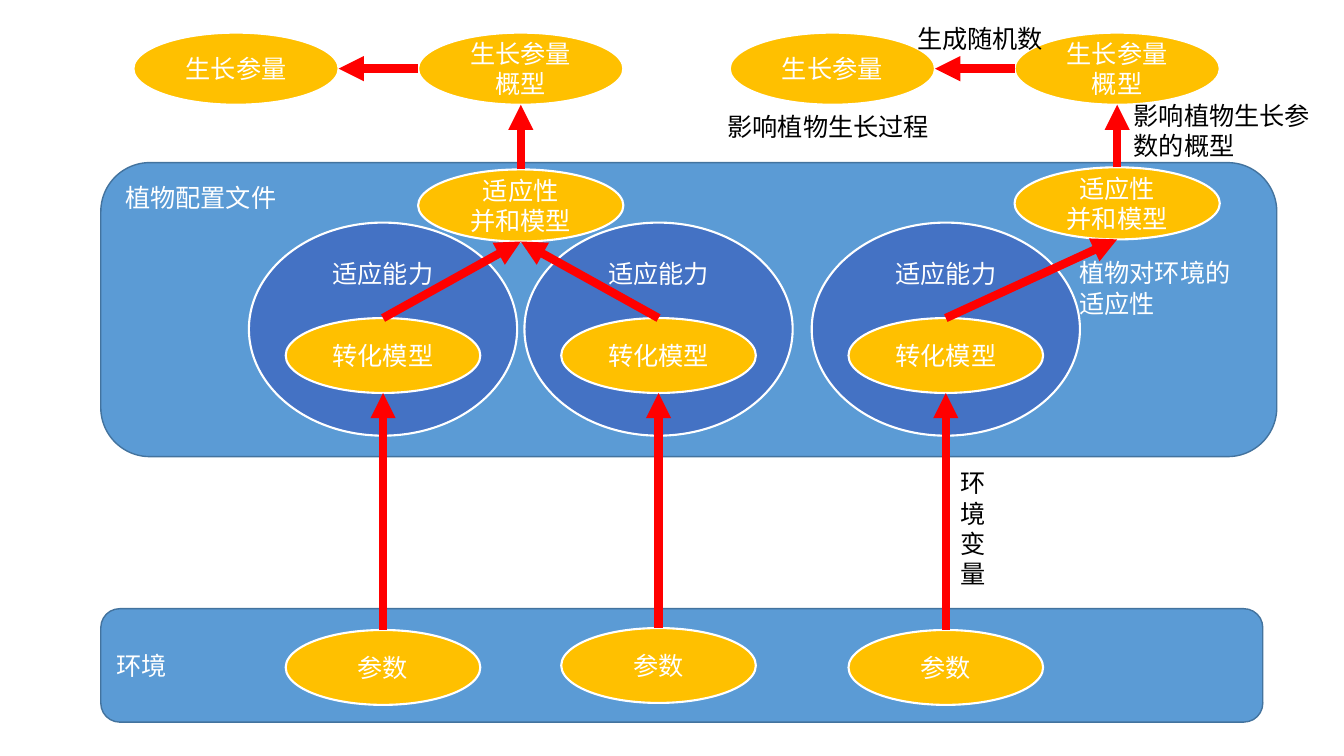
from pptx import Presentation
from pptx.dml.color import RGBColor
from pptx.enum.shapes import MSO_CONNECTOR as Connector, MSO_SHAPE as Shape
from pptx.enum.text import MSO_ANCHOR as Anchor, PP_ALIGN as Align
from pptx.oxml.ns import qn
from pptx.util import Pt
from lxml.etree import SubElement

FONT = "Noto Sans CJK SC"
WHITE = RGBColor(0xFF, 0xFF, 0xFF)
BLACK = RGBColor(0, 0, 0)
GOLD = RGBColor(0xFF, 0xC0, 0x00)
RED = RGBColor(0xFF, 0, 0)
BLUE = RGBColor(0x44, 0x72, 0xC4)
LIGHT_BLUE = RGBColor(0x5B, 0x9B, 0xD5)
EDGE_BLUE = RGBColor(0x43, 0x73, 0x9E)

presentation = Presentation()
presentation.slide_width, presentation.slide_height = Pt(960), Pt(540)
slide = presentation.slides.add_slide(presentation.slide_layouts[6])


def write(shape, text, color, align=Align.LEFT, anchor=Anchor.TOP):
    frame = shape.text_frame
    frame.text = text
    frame.word_wrap = True
    frame.vertical_anchor = anchor
    font_format = {"name": FONT, "size": Pt(18)}
    for paragraph in frame.paragraphs:
        paragraph.alignment = align
        for run in paragraph.runs:
            for name, value in font_format.items():
                setattr(run.font, name, value)
            run.font.color.rgb = color
            SubElement(run.font._element, qn("a:ea"), typeface=FONT)


def add_block(kind, box, text, fill, edge=WHITE, edge_width=1.5,
              align=Align.CENTER, anchor=Anchor.MIDDLE):
    shape = slide.shapes.add_shape(kind, *map(Pt, box))
    shape.shadow.inherit = False
    shape.fill.solid()
    shape.fill.fore_color.rgb = fill
    shape.line.color.rgb = edge
    shape.line.width = Pt(edge_width)
    write(shape, text, WHITE, align, anchor)


# Background panels
for box, text, anchor in [
    ((72, 116.2, 840, 210), "植物配置文件", Anchor.TOP),
    ((72, 434.8, 830, 81), "环境", Anchor.MIDDLE),
]:
    add_block(Shape.ROUNDED_RECTANGLE, box, text, LIGHT_BLUE,
              EDGE_BLUE, 1, Align.LEFT, anchor)

# Growth ellipses above the merged adaptability models
GROWTH_W, GROWTH_H, GROWTH_TOP = 146.6, 51.5, 23.3
GROWTH_STEP = 203.4
LEFT_MERGE, RIGHT_MERGE = (372, 121), (798, 119.5)
arrows = []
for center, merge_top in (LEFT_MERGE, RIGHT_MERGE):
    for middle, top, text in [
        (center, merge_top, "适应性\n并和模型"),
        (center, GROWTH_TOP, "生长参量概型"),
        (center - GROWTH_STEP, GROWTH_TOP, "生长参量"),
    ]:
        box = (middle - GROWTH_W / 2, top, GROWTH_W, GROWTH_H)
        add_block(Shape.OVAL, box, text, GOLD)
    row = GROWTH_TOP + GROWTH_H / 2
    arrows += [
        (center, merge_top, center, GROWTH_TOP + GROWTH_H),
        (center - GROWTH_W / 2, row, center - GROWTH_STEP + GROWTH_W / 2, row),
    ]

# Environment parameters, conversion models and adaptability circles
MODEL_W, MODEL_H, MODEL_TOP = 139, 53.5, 227.2
for center, parameter_top, (merge_x, merge_top) in [
    (273.6, 450, LEFT_MERGE),
    (470.4, 448.6, LEFT_MERGE),
    (675.6, 450, RIGHT_MERGE),
]:
    add_block(Shape.OVAL, (center - 95.8, 159, 191.6, 152.2), "适应能力", BLUE,
              anchor=Anchor.TOP)
    for top, text in [(MODEL_TOP, "转化模型"), (parameter_top, "参数")]:
        box = (center - MODEL_W / 2, top, MODEL_W, MODEL_H)
        add_block(Shape.OVAL, box, text, GOLD)
    arrows += [
        (center, parameter_top, center, MODEL_TOP + MODEL_H),
        (center, MODEL_TOP, merge_x, merge_top + GROWTH_H),
    ]

# Red arrows
for ends in arrows:
    arrow = slide.shapes.add_connector(Connector.STRAIGHT, *map(Pt, ends))
    arrow.line.color.rgb = RED
    arrow.line.width = Pt(6)
    SubElement(arrow.line._get_or_add_ln(), qn("a:tailEnd"), type="triangle")
    SubElement(arrow._element.spPr, qn("a:effectLst"))

# Annotations
for box, text, color in [
    ((679, 330.5, 35.3, 94.5), "环境变量", BLACK),
    ((763.9, 180.6, 128.2, 51), "植物对环境的适应性", WHITE),
    ((802.8, 68.2, 141.8, 51), "影响植物生长参数的概型", BLACK),
    ((648, 12.8, 129.6, 29), "生成随机数", BLACK),
    ((512.6, 75.8, 166.4, 29), "影响植物生长过程", BLACK),
]:
    write(slide.shapes.add_textbox(*map(Pt, box)), text, color)

presentation.save("out.pptx")
